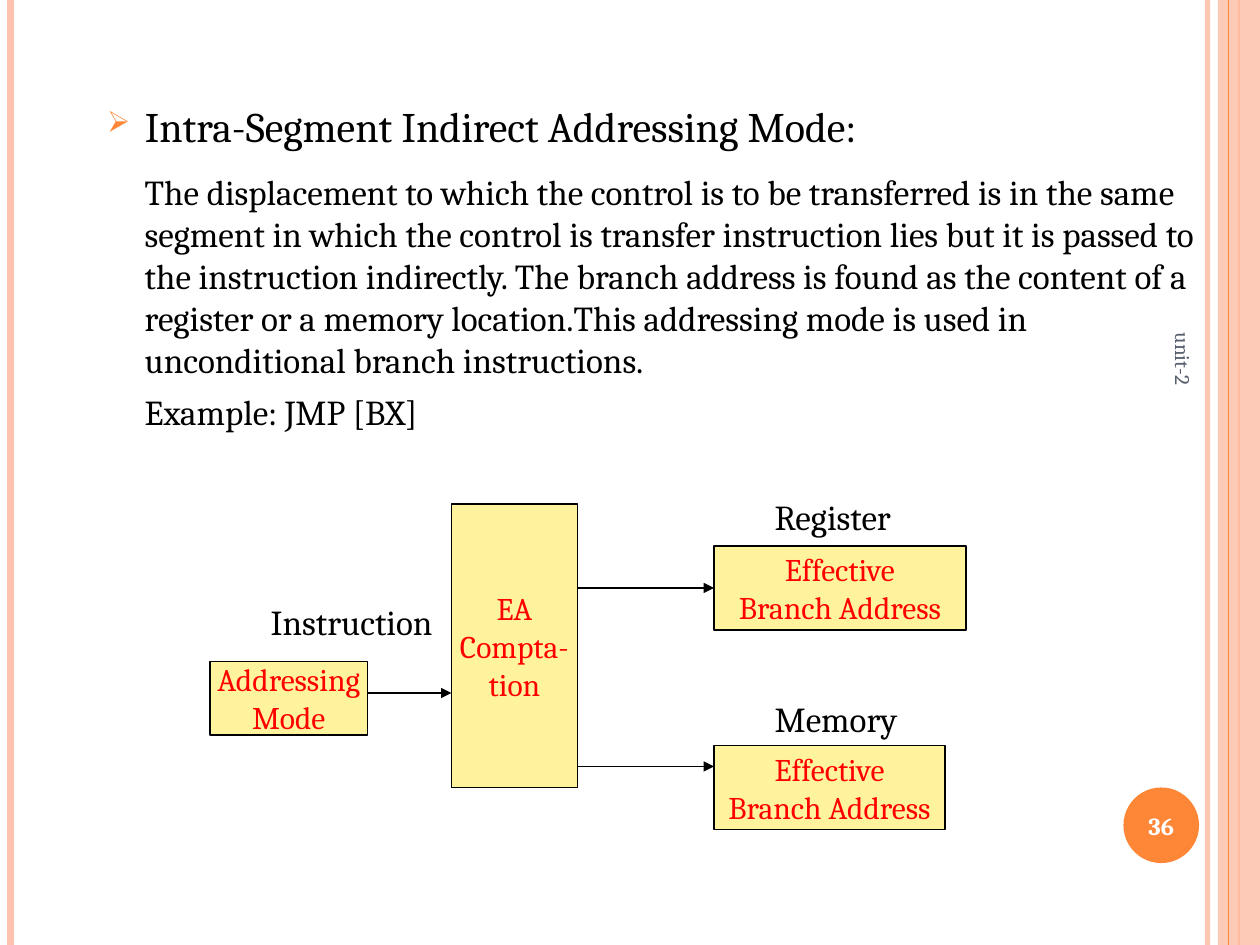
from lxml import etree
from pptx import Presentation
from pptx import util as u
from pptx.dml.color import RGBColor
from pptx.enum import shapes, text
from pptx.oxml import ns

FONT = "Cambria"
BLACK = RGBColor(0x00, 0x00, 0x00)
WHITE = RGBColor(0xFF, 0xFF, 0xFF)
RED = RGBColor(0xFF, 0x00, 0x00)
YELLOW = RGBColor(0xFF, 0xF3, 0x9D)
PEACH = RGBColor(0xFE, 0xC3, 0xAE)
ORANGE = RGBColor(0xFE, 0x86, 0x37)
SLATE = RGBColor(0x57, 0x5F, 0x6D)

COLS, ROWS = 120, 90
CELL = u.Inches(10) // COLS

HEADING = "Intra-Segment Indirect Addressing Mode:"
BODY = [
    "The displacement to which the control is to be transferred is in the same "
    "segment in which the control is transfer instruction lies but it is passed to "
    "the instruction indirectly. The branch address is found as the content of a "
    "register or a memory location.This addressing mode is used in "
    "unconditional branch instructions.",
    "Example: JMP [BX]",
]
LABELS = [("Register", 72.6, 46.6), ("Instruction", 24.6, 56.6), ("Memory", 72.6, 65.8)]
BOXES = [
    ("EA\nCompta-\ntion", 43, 48, 12, 27),
    ("Addressing\nMode", 20, 63, 15, 7),
    ("Effective\nBranch Address", 68, 52, 24, 8),
    ("Effective\nBranch Address", 68, 71, 22, 8),
]
ARROWS = [(35, 43, 66), (55, 68, 73), (55, 68, 56)]
STRIPES = [(115, PEACH, 3, 93), (1, PEACH, 4.5, 100), (118, ORANGE, 1.5, 100)]


def cells(*values):
    return [round(v * CELL) for v in values]


def add_xml(parent, tag, **attrs):
    return etree.SubElement(parent, ns.qn(tag), attrs)


def set_alpha(element, percent):
    color = next(element.iter(ns.qn("a:srgbClr")))
    add_xml(color, "a:alpha", val=str(percent * 1000))


def write(tf, lines, size, color, align=text.PP_ALIGN.LEFT, bold=False):
    tf.text = "\n".join(lines)
    for p in tf.paragraphs:
        p.alignment = align
        for r in p.runs:
            r.font.name = FONT
            r.font.size = u.Pt(size)
            r.font.bold = bold
            r.font.color.rgb = color


def add_line(s, start, end, color, width):
    line = s.shapes.add_connector(
        shapes.MSO_CONNECTOR.STRAIGHT, *cells(*start, *end))
    line.line.color.rgb = color
    line.line.width = u.Pt(width)
    add_xml(line._element.spPr, "a:effectLst")
    return line


def add_arrow(s, x1, x2, y):
    arrow = add_line(s, (x1, y), (x2, y), BLACK, 0.75)
    add_xml(arrow.line._get_or_add_ln(), "a:tailEnd", type="triangle")


def add_filled(s, kind, bounds, fill):
    sp = s.shapes.add_shape(kind, *cells(*bounds))
    sp.shadow.inherit = False
    sp.fill.solid()
    sp.fill.fore_color.rgb = fill
    sp.line.fill.background()
    tf = sp.text_frame
    tf.word_wrap = False
    tf.vertical_anchor = text.MSO_ANCHOR.MIDDLE
    return sp


def add_box(s, caption, *bounds):
    sp = add_filled(s, shapes.MSO_SHAPE.RECTANGLE, bounds, YELLOW)
    sp.line.color.rgb = BLACK
    sp.line.width = u.Pt(0.75)
    write(sp.text_frame, caption.split("\n"), 18, RED, text.PP_ALIGN.CENTER)


def add_text(s, lines, bounds, size, color):
    sp = s.shapes.add_textbox(*cells(*bounds))
    sp.text_frame.word_wrap = True
    write(sp.text_frame, lines, size, color)
    return sp


def add_frame(s):
    for x, color, width, alpha in STRIPES:
        stripe = add_line(s, (x, 0), (x, ROWS), color, width)
        if alpha < 100:
            set_alpha(stripe._element.spPr, alpha)
    band = add_filled(s, shapes.MSO_SHAPE.RECTANGLE, (116, 0, 4, ROWS), PEACH)
    set_alpha(band._element.spPr, 87)
    add_line(s, (117, 0), (117, ROWS), ORANGE, 0.75)


def add_page_number(s, number):
    sp = add_filled(s, shapes.MSO_SHAPE.OVAL, (107, 75, 7.2, 7.2), ORANGE)
    write(sp.text_frame, [number], 14, WHITE, text.PP_ALIGN.CENTER, bold=True)


def add_side_note(s, note):
    sp = add_text(s, [note], (91.7, 49.1, 42, 4.8), 12, SLATE)
    sp.text_frame.vertical_anchor = text.MSO_ANCHOR.MIDDLE
    sp.rotation = 90


def format_heading(title):
    title.left, title.top, title.width, title.height = cells(9, 9, 106, 6.6)
    tf = title.text_frame
    tf.auto_size = text.MSO_AUTO_SIZE.NONE
    tf.vertical_anchor = text.MSO_ANCHOR.TOP
    write(tf, [HEADING], 24, BLACK)
    pPr = tf.paragraphs[0]._p.get_or_add_pPr()
    indent = u.Inches(0.3)
    pPr.set("marL", str(indent))
    pPr.set("indent", str(-indent))
    add_xml(add_xml(pPr, "a:buClr"), "a:srgbClr", val=str(ORANGE))
    add_xml(pPr, "a:buSzPct", val="70000")
    add_xml(pPr, "a:buChar", char="➢")


def main():
    prs = Presentation()
    prs.slide_width, prs.slide_height = cells(COLS, ROWS)
    s = prs.slides.add_slide(prs.slide_layouts[5])
    add_frame(s)
    format_heading(s.shapes.title)
    body = add_text(s, BODY, (12.6, 15.6, 102.6, 27), 20, BLACK)
    body.text_frame.paragraphs[1].space_before = u.Pt(6)
    for label, x, y in LABELS:
        add_text(s, [label], (x, y, 18, 5.2), 20, BLACK)
    for box in BOXES:
        add_box(s, *box)
    for arrow in ARROWS:
        add_arrow(s, *arrow)
    add_page_number(s, "36")
    add_side_note(s, "unit-2")
    prs.save("out.pptx")


if __name__ == "__main__":
    main()
